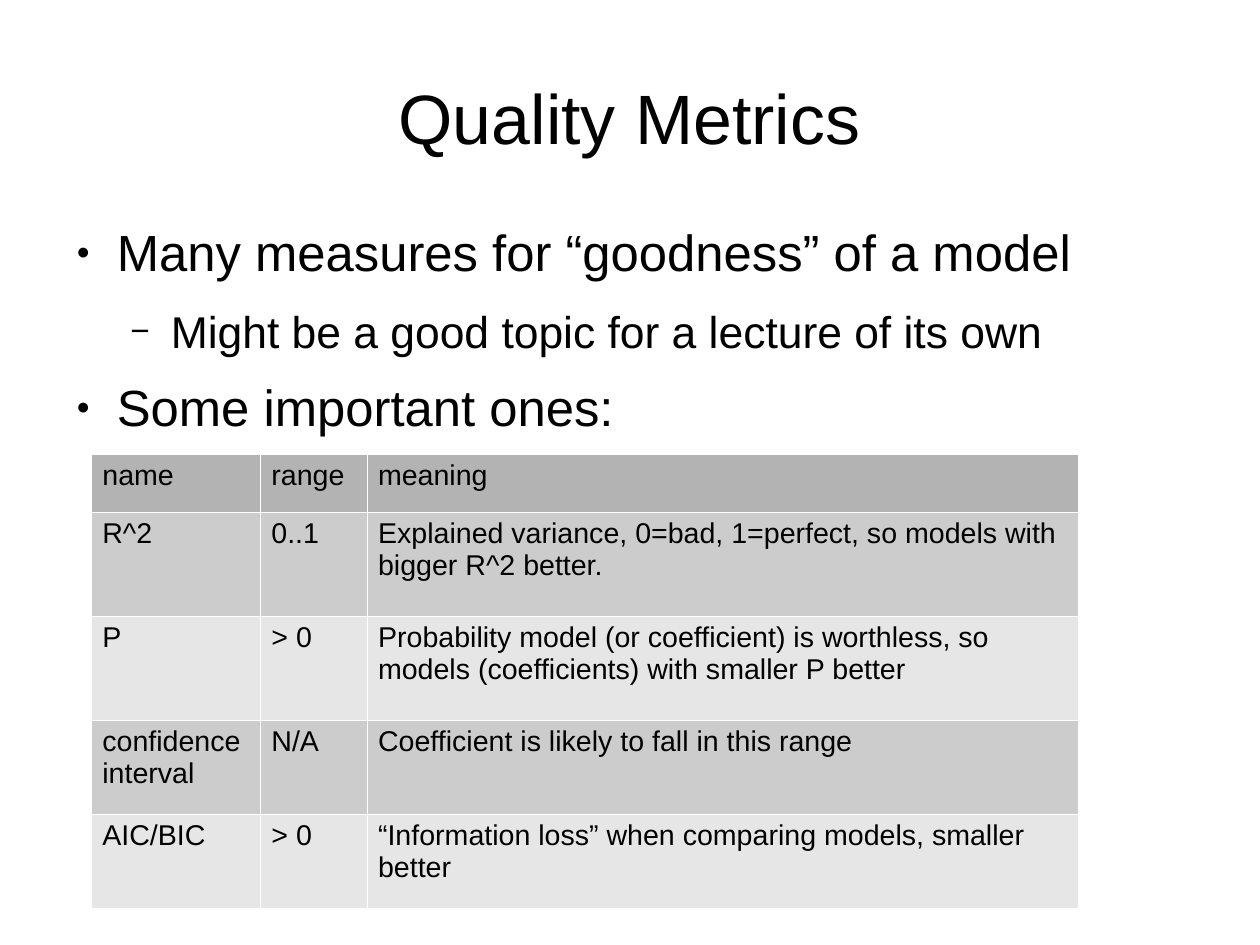
import pptx
import pptx.dml.color
import pptx.enum.text
import pptx.oxml
import pptx.oxml.ns
import pptx.util
from pptx.util import Pt

RGBColor = pptx.dml.color.RGBColor
BLACK = RGBColor(0x00, 0x00, 0x00)
HEADER_GRAY = RGBColor(0xB3, 0xB3, 0xB3)
DARK_BAND = RGBColor(0xCC, 0xCC, 0xCC)
LIGHT_BAND = RGBColor(0xE6, 0xE6, 0xE6)
BORDER_WHITE = RGBColor(0xFF, 0xFF, 0xFF)
NAMESPACE = pptx.oxml.ns.nsdecls("a")


def format_runs(paragraph, size):
    for run in paragraph.runs:
        run.font.name = "Arial"
        run.font.size = Pt(size)
        run.font.bold = False
        run.font.color.rgb = BLACK


def add_text_area(top, height, anchor):
    shape = slide.shapes.add_textbox(Pt(39.6), Pt(top), Pt(714.2), Pt(height))
    text_frame = shape.text_frame
    text_frame.word_wrap = True
    text_frame.vertical_anchor = anchor
    text_frame.margin_left = text_frame.margin_right = Pt(0)
    text_frame.margin_top = text_frame.margin_bottom = Pt(0)
    return text_frame


presentation = pptx.Presentation()
presentation.slide_width = Pt(793.7)
presentation.slide_height = Pt(595.28)
slide = presentation.slides.add_slide(presentation.slide_layouts[6])

title = add_text_area(23.8, 99.4, pptx.enum.text.MSO_ANCHOR.MIDDLE)
title.text = "Quality Metrics"
title.paragraphs[0].alignment = pptx.enum.text.PP_ALIGN.CENTER
format_runs(title.paragraphs[0], 44)

bullet_styles = [("●", 45, 32, 14.2), ("−", 75, 28, 11.3)]
bullets = [
    (0, "Many measures for “goodness” of a model"),
    (1, "Might be a good topic for a lecture of its own"),
    (0, "Some important ones:"),
]
body = add_text_area(139.2, 141.8, pptx.enum.text.MSO_ANCHOR.TOP)
body.text = "\n".join(text for level, text in bullets)
for paragraph, (level, text) in zip(body.paragraphs, bullets):
    character, percent, size, space_after = bullet_styles[level]
    paragraph.level = level
    properties = paragraph._p.get_or_add_pPr()
    properties.set("marL", str(Pt(34 * (level + 1))))
    properties.set("indent", str(Pt(-25.5)))
    for element in (
        f'<a:buClr {NAMESPACE}><a:srgbClr val="{BLACK}"/></a:buClr>',
        f'<a:buSzPct {NAMESPACE} val="{percent * 1000}"/>',
        f'<a:buFont {NAMESPACE} typeface="Arial"/>',
        f'<a:buChar {NAMESPACE} char="{character}"/>',
    ):
        properties.append(pptx.oxml.parse_xml(element))
    paragraph.space_after = Pt(space_after)
    format_runs(paragraph, size)

metrics = [
    ("name", "range", "meaning"),
    ("R^2", "0..1", "Explained variance, 0=bad, 1=perfect, so models with bigger R^2 better."),
    ("P", "> 0", "Probability model (or coefficient) is worthless, so models (coefficients) with smaller P better"),
    ("confidence interval", "N/A", "Coefficient is likely to fall in this range"),
    ("AIC/BIC", "> 0", "“Information loss” when comparing models, smaller better"),
]
column_widths = [106.5, 67.2, 448.3]
row_heights = [36.5, 65.7, 65.7, 59.3, 59.3]
row_fills = [HEADER_GRAY] + [DARK_BAND, LIGHT_BAND] * 2

table = slide.shapes.add_table(
    len(metrics), len(column_widths), Pt(57.4), Pt(285.8),
    Pt(sum(column_widths)), Pt(sum(row_heights)),
).table
for column, width in zip(table.columns, column_widths):
    column.width = Pt(width)
for row, height, fill, texts in zip(table.rows, row_heights, row_fills, metrics):
    row.height = Pt(height)
    for cell, text in zip(row.cells, texts):
        cell.text = text
        cell.margin_left = cell.margin_right = Pt(7.1)
        cell.margin_top = cell.margin_bottom = Pt(3.6)
        format_runs(cell.text_frame.paragraphs[0], 18)
        cell_properties = cell._tc.get_or_add_tcPr()
        for side in ("lnL", "lnR", "lnT", "lnB"):
            cell_properties.append(pptx.oxml.parse_xml(
                f'<a:{side} {NAMESPACE} w="{Pt(0.06)}"><a:solidFill>'
                f'<a:srgbClr val="{BORDER_WHITE}"/></a:solidFill></a:{side}>'
            ))
        cell.fill.solid()
        cell.fill.fore_color.rgb = fill

presentation.save("out.pptx")
